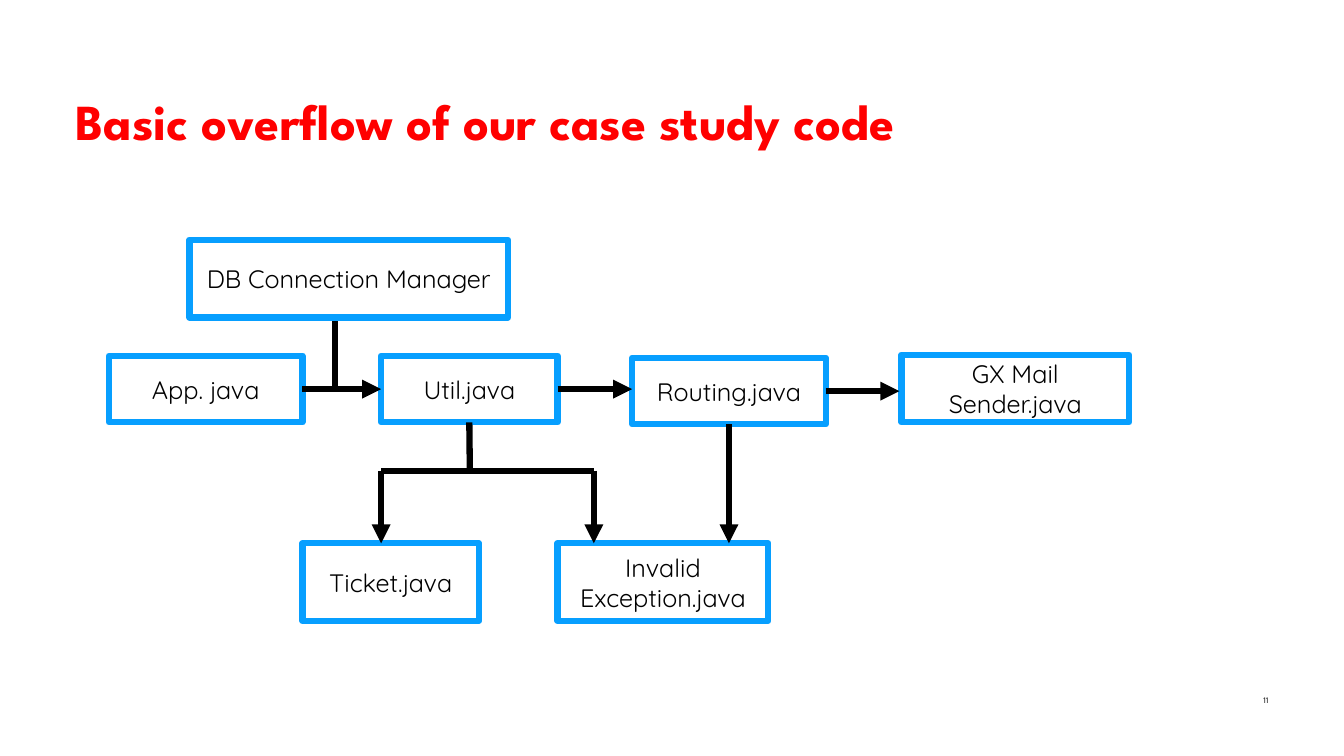
from pptx import Presentation
from pptx import util as u
from pptx.dml import color
from pptx.enum import shapes, text
from pptx.oxml import ns
from lxml import etree

BLACK, BLUE, RED, WHITE = "000000", "079FFF", "FF0000", "FFFFFF"


def rgb(code):
    """Turn a hex string into a colour."""
    return color.RGBColor.from_string(code)


def write(frame, words, font, size, tint, align, bold=False):
    """Put one styled run in the first paragraph."""
    frame.word_wrap = True
    par = frame.paragraphs[0]
    par.alignment = align
    run = par.add_run()
    run.text = words
    run.font.name, run.font.size, run.font.bold = font, u.Pt(size), bold
    run.font.color.rgb = rgb(tint)
    return par


def label(slide, area, words, size, tint, align, bold=False):
    """Add a text box without insets."""
    frame = slide.shapes.add_textbox(*map(u.Inches, area)).text_frame
    frame.margin_left = frame.margin_right = 0
    frame.margin_top = frame.margin_bottom = 0
    frame.vertical_anchor = text.MSO_ANCHOR.MIDDLE
    return write(frame, words, "League Spartan", size, tint, align, bold)


def box(slide, words, *area):
    """Add an outlined box with centred text."""
    rect = slide.shapes.add_shape(
        shapes.MSO_SHAPE.RECTANGLE, *map(u.Inches, area))
    rect.shadow.inherit = False
    rect.fill.solid()
    rect.fill.fore_color.rgb = rgb(WHITE)
    rect.line.color.rgb = rgb(BLUE)
    rect.line.width = u.Pt(4.5)
    rect.text_frame.vertical_anchor = text.MSO_ANCHOR.MIDDLE
    write(rect.text_frame, words, "Quicksand", 18, BLACK, text.PP_ALIGN.CENTER)
    return rect


def link(slide, start, end, head=True, source=None, target=None):
    """Add a line, joined to (box, side) pairs where given."""
    line = slide.shapes.add_connector(
        shapes.MSO_CONNECTOR.STRAIGHT, *map(u.Inches, start + end))
    line.line.color.rgb = rgb(BLACK)
    line.line.width = u.Pt(4.5)
    if head:
        tip = etree.SubElement(line.line._get_or_add_ln(), ns.qn("a:tailEnd"))
        tip.set("type", "triangle")
    etree.SubElement(line._element.spPr, ns.qn("a:effectLst"))
    if source:
        line.begin_connect(*source)
    if target:
        line.end_connect(*target)


def main():
    """Build the slide and save it."""
    deck = Presentation()
    deck.slide_width, deck.slide_height = u.Inches(13.33), u.Inches(7.5)
    slide = deck.slides.add_slide(deck.slide_layouts[6])

    label(slide, (12.28, 6.9, 0.3, 0.1), "11", 6, BLACK, text.PP_ALIGN.RIGHT)
    title = label(slide, (0.75, 0.75, 11.83, 0.82),
                  "Basic overflow of our case study code", 36, RED,
                  text.PP_ALIGN.LEFT, True)
    title.line_spacing = 1.1

    app = box(slide, "App. java", 1.08, 3.53, 1.92, 0.66)
    tool = box(slide, "Util.java", 3.78, 3.53, 1.75, 0.66)
    route = box(slide, "Routing.java", 6.27, 3.55, 1.92, 0.66)
    box(slide, "GX Mail Sender.java", 8.94, 3.52, 2.26, 0.67)
    box(slide, "Ticket.java", 3, 5.39, 1.75, 0.77)
    box(slide, "Invalid Exception.java", 5.53, 5.39, 2.09, 0.77)

    link(slide, (3, 3.86), (3.78, 3.86), source=(app, 3), target=(tool, 1))
    link(slide, (5.53, 3.86), (6.27, 3.86), source=(tool, 3))
    link(slide, (8.19, 3.88), (8.92, 3.88), source=(route, 3))
    link(slide, (7.23, 4.21), (7.23, 5.39), source=(route, 2))

    fork, low = 4.67, 5.39
    link(slide, (4.66, 4.19), (4.66, fork), False, source=(tool, 2))
    for x in (3.78, 5.89):
        link(slide, (4.66, fork), (x, fork), False)
        link(slide, (x, fork), (x, low))

    link(slide, (3.32, 3.86), (3.32, 3.13), False)
    box(slide, "DB Connection Manager", 1.88, 2.38, 3.16, 0.77)
    deck.save("out.pptx")


if __name__ == "__main__":
    main()
